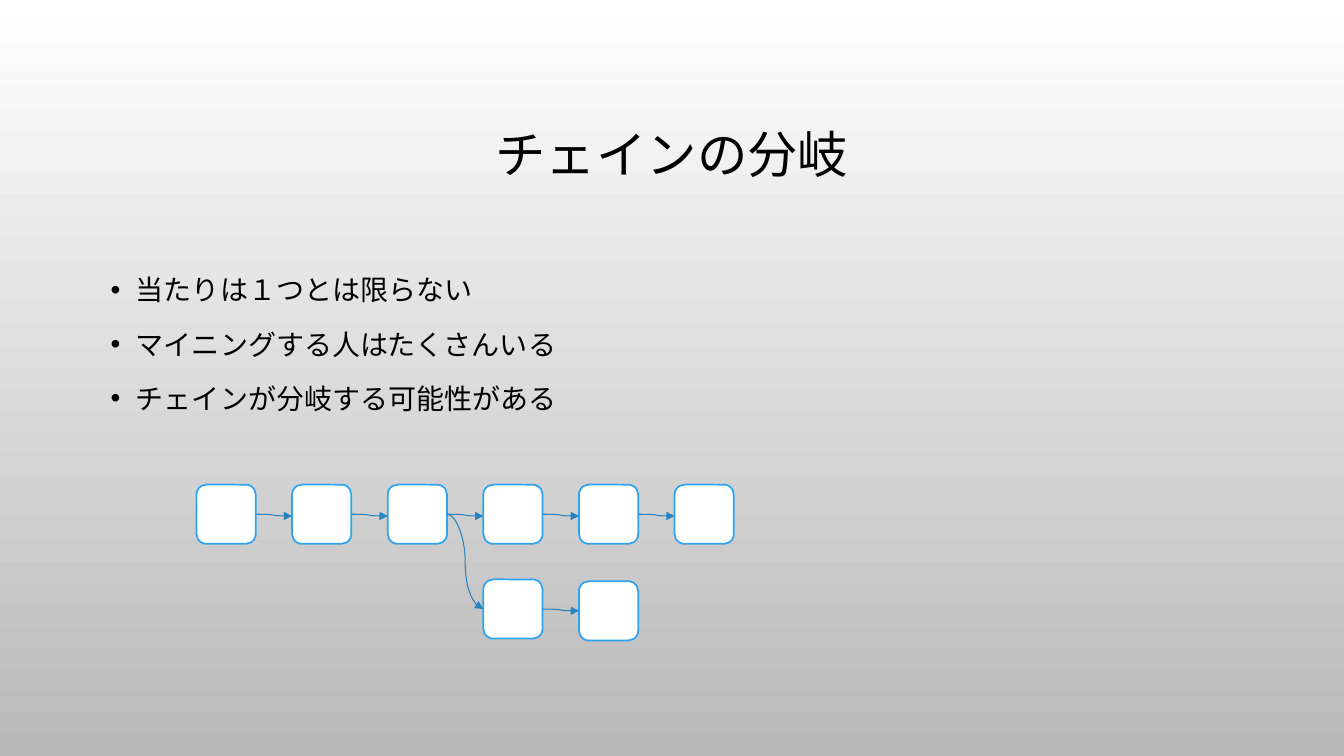
from lxml import etree
from pptx import Presentation
from pptx.dml.color import RGBColor
from pptx.enum.shapes import MSO_CONNECTOR, MSO_SHAPE
from pptx.enum.text import MSO_ANCHOR, PP_ALIGN
from pptx.oxml.ns import qn
from pptx.util import Pt

CURVE = MSO_CONNECTOR.CURVE
ROUNDED = MSO_SHAPE.ROUNDED_RECTANGLE
MIDDLE = MSO_ANCHOR.MIDDLE
TOP = MSO_ANCHOR.TOP
CENTER = PP_ALIGN.CENTER

COLORS = {
    "text": "000000",
    "block": "FFFFFF",
    "border": "2FA3EE",
    "arrow": "2683BF",
    "sky": "FFFFFF",
    "ground": "B9B9B9",
}


def color(name):
    return RGBColor.from_string(COLORS[name])


def format_font(paragraph, size):
    for attribute, value in {"name": "Calibri", "size": Pt(size), "bold": False}.items():
        setattr(paragraph.font, attribute, value)
    paragraph.font.color.rgb = color("text")


prs = Presentation()
prs.slide_width, prs.slide_height = Pt(960), Pt(540)
slide = prs.slides.add_slide(prs.slide_layouts[5])

backdrop = slide.background.fill
backdrop.gradient()
backdrop.gradient_angle = 270
for stop, name, position in zip(backdrop.gradient_stops, ("sky", "ground"), (0, 1)):
    stop.color.rgb = color(name)
    stop.position = position

title = slide.shapes.title
title_place = {"left": 72, "top": 49, "width": 816, "height": 126}
for attribute, value in title_place.items():
    setattr(title, attribute, Pt(value))
title.text_frame.text = "チェインの分岐"
title.text_frame.vertical_anchor = MIDDLE
heading = title.text_frame.paragraphs[0]
heading.alignment = CENTER
heading.line_spacing = 0.9
format_font(heading, 36)

points = slide.shapes.add_textbox(Pt(72), Pt(186.5), Pt(816), Pt(269)).text_frame
points.word_wrap = True
points.vertical_anchor = TOP
points.text = "当たりは１つとは限らない\nマイニングする人はたくさんいる\nチェインが分岐する可能性がある"
for index, point in enumerate(points.paragraphs):
    point.line_spacing = 1.2
    point.space_before = Pt(10 if index else 0)
    properties = point._p.get_or_add_pPr()
    properties.set("marL", str(Pt(18)))
    properties.set("indent", str(-Pt(18)))
    etree.SubElement(properties, qn("a:buFont"), typeface="Arial")
    etree.SubElement(properties, qn("a:buChar"), char="•")
    format_font(point, 20)

CHAIN_LEFT, STEP, BLOCK = 140.4, 68.3, 42.3
MAIN_TOP, FORK_TOP, DROP = 346.2, 413.9, 1.3

main_chain = [(CHAIN_LEFT + STEP * i, MAIN_TOP) for i in range(6)]
fork_chain = [(main_chain[3][0], FORK_TOP), (main_chain[4][0], FORK_TOP + DROP)]

for left, top in main_chain + fork_chain:
    block = slide.shapes.add_shape(ROUNDED, Pt(left), Pt(top), Pt(BLOCK), Pt(BLOCK))
    block.shadow.inherit = False
    block.fill.solid()
    block.fill.fore_color.rgb = color("block")
    block.line.color.rgb = color("border")
    block.line.width = Pt(1.25)

links = [(start, end, DROP) for start, end in zip(main_chain, main_chain[1:])]
links += [(main_chain[2], fork_chain[0], 0), (fork_chain[0], fork_chain[1], 0)]

for (start_left, start_top), (end_left, end_top), drop in links:
    arrow = slide.shapes.add_connector(
        CURVE,
        Pt(start_left + BLOCK),
        Pt(start_top + BLOCK / 2),
        Pt(end_left),
        Pt(end_top + BLOCK / 2 + drop),
    )
    arrow.line.color.rgb = color("arrow")
    arrow.line.width = Pt(0.75)
    etree.SubElement(arrow.line._get_or_add_ln(), qn("a:tailEnd"), type="triangle")
    etree.SubElement(arrow._element.spPr, qn("a:effectLst"))

prs.save("out.pptx")
